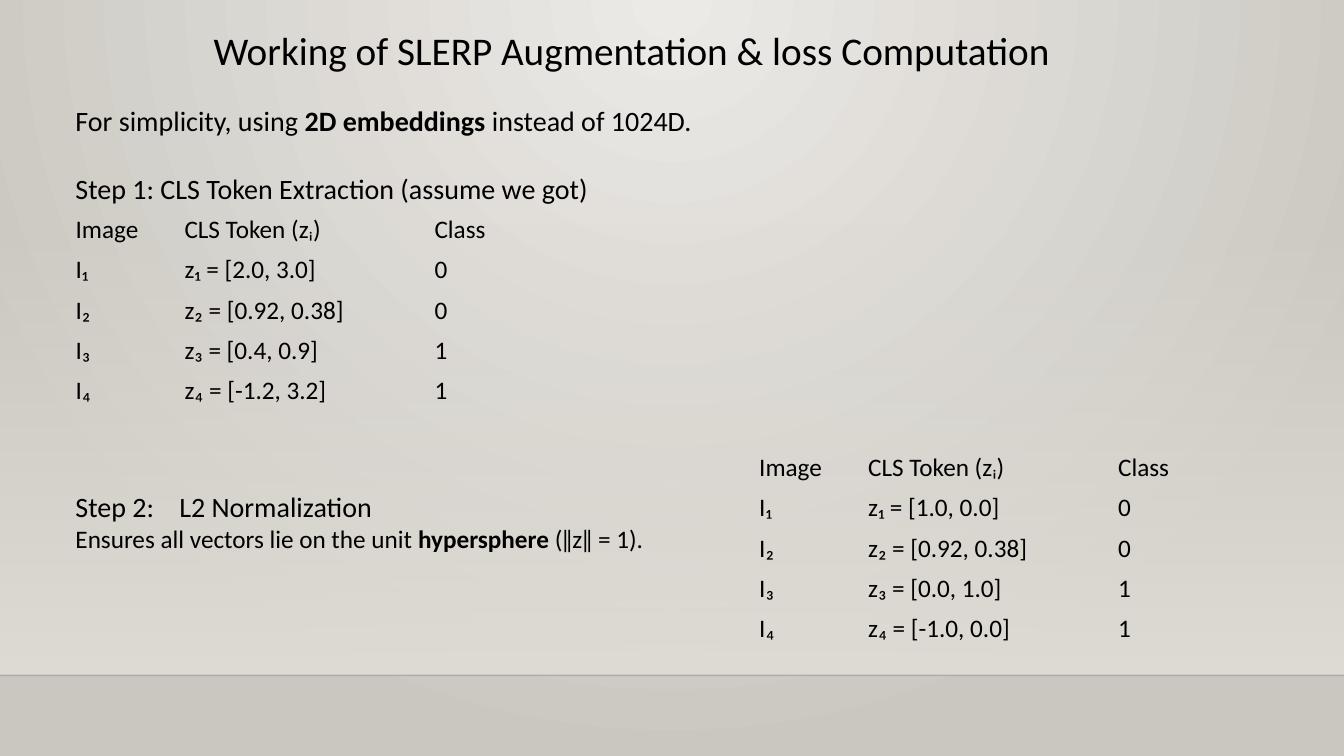
import pptx
import pptx.dml.color
import pptx.enum.dml
import pptx.enum.shapes
import pptx.enum.text
import pptx.oxml.ns
import pptx.util
from lxml import etree

PX = 9144
WIDE, HIGH = 1333, 750
FLOOR = 670
FONT = "Calibri"
INK = pptx.dml.color.RGBColor(0x00, 0x00, 0x00)
GLOW = pptx.dml.color.RGBColor(0xEC, 0xEA, 0xE7)
EDGE = pptx.dml.color.RGBColor(0xCA, 0xC7, 0xC1)
HAZE = pptx.dml.color.RGBColor(0xDF, 0xDB, 0xD5)
RULE = pptx.dml.color.RGBColor(0x00, 0x00, 0x01)
PLAIN = "{2D5ABB26-0587-4C30-8999-92F81FD0307C}"
COLS = (108, 248, 100)
ROW = 40
CLASSES = "0011"
RAW = ("[2.0, 3.0]", "[0.92, 0.38]", "[0.4, 0.9]", "[-1.2, 3.2]")
UNIT = ("[1.0, 0.0]", "[0.92, 0.38]", "[0.0, 1.0]", "[-1.0, 0.0]")


def px(*nums):
    return [pptx.util.Emu(num * PX) for num in nums]


def child(node, tag, **attrs):
    return etree.SubElement(node, pptx.oxml.ns.qn(tag), attrs)


def fade(node, alpha):
    for color in node.iter(pptx.oxml.ns.qn("a:srgbClr")):
        child(color, "a:alpha", val=str(alpha * 1000))


def blend(fill, *colors):
    fill.gradient()
    for stop, color in zip(fill.gradient_stops, colors):
        stop.color.rgb = color


def say(para, text, size=20, gap=0, tab=0):
    if tab:
        tabs = child(para._p.get_or_add_pPr(), "a:tabLst")
        child(tabs, "a:tab", pos=str(tab * PX), algn="l")
    if gap:
        para.space_before = pptx.util.Pt(gap)
    for i, part in enumerate(text.split("*")):
        run = para.add_run()
        run.text = part
        run.font.name = FONT
        run.font.size = pptx.util.Pt(size)
        run.font.bold = i % 2 == 1
        run.font.color.rgb = INK


def frame(slide, box, wrap=True):
    text = slide.shapes.add_textbox(*px(*box)).text_frame
    text.word_wrap = wrap
    return text


def backdrop(slide):
    blend(slide.background.fill, GLOW, EDGE)
    grad = next(slide.element.iter(pptx.oxml.ns.qn("a:gradFill")))
    grad.remove(grad.find(pptx.oxml.ns.qn("a:lin")))
    ring = child(grad, "a:path", path="circle")
    child(ring, "a:fillToRect", l="43000", t="0", r="43000", b="100000")

    top = 221
    veil = slide.shapes.add_shape(
        pptx.enum.shapes.MSO_SHAPE.RECTANGLE, *px(0, top, WIDE, FLOOR - top))
    veil.shadow.inherit = False
    veil.line.fill.background()
    blend(veil.fill, HAZE, HAZE)
    veil.fill.gradient_angle = 270
    fade(next(veil.element.iter(pptx.oxml.ns.qn("a:gs"))), 0)

    rule = slide.shapes.add_connector(
        pptx.enum.shapes.MSO_CONNECTOR.STRAIGHT, *px(0, FLOOR, WIDE, FLOOR))
    rule.line.color.rgb = RULE
    rule.line.width = pptx.util.Pt(1)
    fade(rule.element.spPr, 20)
    child(rule.element.spPr, "a:effectLst")


def title(slide, box):
    say(frame(slide, box).paragraphs[0],
        "Working of SLERP Augmentation & loss Computation", size=28)


def intro(slide, box):
    text = frame(slide, box)
    say(text.paragraphs[0],
        "For simplicity, using *2D embeddings* instead of 1024D.")
    say(text.add_paragraph(),
        "Step 1: CLS Token Extraction (assume we got)", gap=24.4)


def norm(slide, box):
    text = frame(slide, box, wrap=False)
    say(text.paragraphs[0], "Step 2:\tL2 Normalization", tab=103)
    say(text.add_paragraph(),
        "Ensures all vectors lie on the unit *hypersphere* (‖z‖ = 1).", size=18)


def tokens(slide, left, top, values):
    rows = [("Image", "CLS Token (zᵢ)", "Class")]
    rows += [(f"I{sub}", f"z{sub} = {value}", label)
             for sub, value, label in zip("₁₂₃₄", values, CLASSES)]
    shape = slide.shapes.add_table(
        len(rows), len(COLS), *px(left, top, sum(COLS), ROW * len(rows)))
    table = shape.table
    table.first_row = table.horz_banding = False
    next(shape.element.iter(pptx.oxml.ns.qn("a:tableStyleId"))).text = PLAIN
    for col, width in zip(table.columns, COLS):
        col.width = px(width)[0]
    for row, words in zip(table.rows, rows):
        row.height = px(ROW)[0]
        for cell, word in zip(row.cells, words):
            cell.fill.background()
            cell.vertical_anchor = pptx.enum.text.MSO_ANCHOR.MIDDLE
            cell.margin_top = cell.margin_bottom = px(4)[0]
            say(cell.text_frame.paragraphs[0], word, size=18)


def main():
    deck = pptx.Presentation()
    deck.slide_width, deck.slide_height = px(WIDE, HIGH)
    slide = deck.slides.add_slide(deck.slide_layouts[6])
    backdrop(slide)
    title(slide, (202, 21, 883, 57))
    intro(slide, (65, 98, 1185, 141))
    tokens(slide, 65, 208, RAW)
    norm(slide, (65, 481, 615, 74))
    tokens(slide, 743, 444, UNIT)
    deck.save("out.pptx")


if __name__ == "__main__":
    main()
